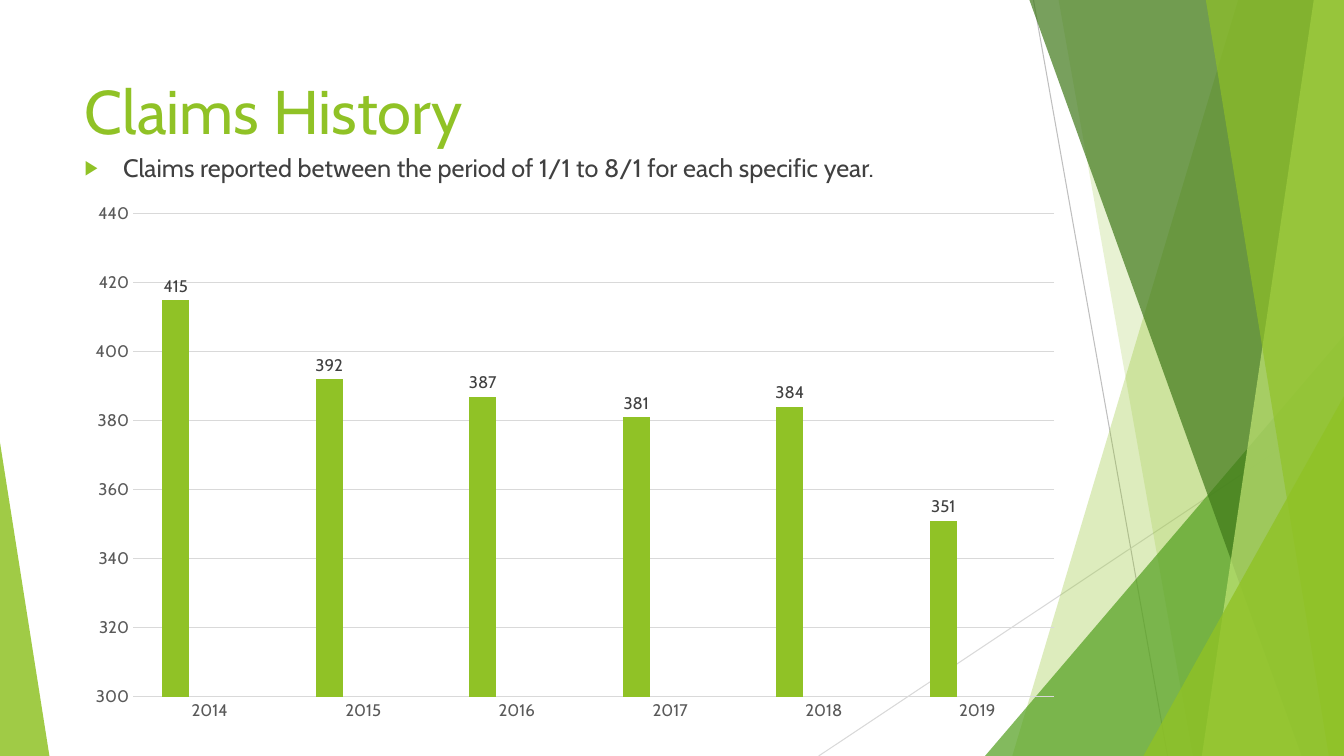
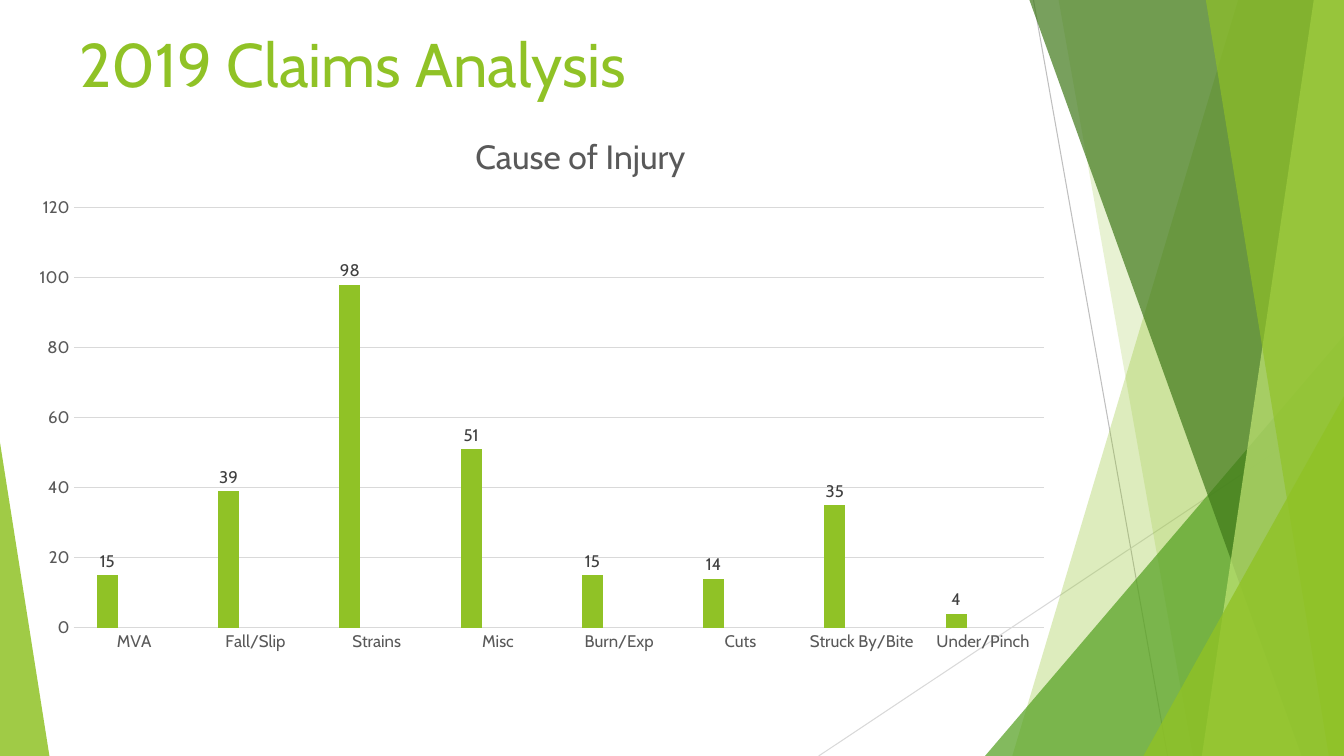
import lxml.etree
import pptx
import pptx.chart.data
import pptx.dml.color
import pptx.enum.chart
import pptx.enum.shapes
import pptx.enum.text
import pptx.oxml.ns
import pptx.util

Inches = pptx.util.Inches
Pt = pptx.util.Pt
qn = pptx.oxml.ns.qn

WIDTH, HEIGHT = 13.33, 7.5
FONT = "Cabin"
GREEN, MID_GREEN, DARK_GREEN, PALE_GREEN = "90C226", "54A021", "3F7819", "C0E474"
YELLOW, TEXT, GREY, RULE = "E6B91E", "404040", "595959", "D9D9D9"

LINES = [
    ((10.25, 0), (11.58, HEIGHT), "BFBFBF"),
    ((WIDTH, 4.03), (8.12, HEIGHT), RULE),
]
FACETS = [
    ("band", (12.28, 10.04), GREEN, 30),
    ("band", (10.5, 11.83), GREEN, 20),
    ("triangle", (9.77, 3.33, 3.56, 1), MID_GREEN, 72),
    ("band", (10.21, 12.91), DARK_GREEN, 70),
    ("band", (13.03, 11.92), PALE_GREEN, 70),
    ("band", (11.96, 13.18), GREEN, 65),
    ("triangle", (11.34, 3.93, 1.99, 1), GREEN, 80),
    ("triangle", (0, 4.39, 0.49, 0), GREEN, 85),
]


def rgb(value):
    return pptx.dml.color.RGBColor.from_string(value)


def apply(obj, values):
    for name, value in values.items():
        setattr(obj, name, value)


def sub(parent, tag, **attrs):
    return lxml.etree.SubElement(parent, qn(tag), attrs)


def set_layout(parent, index, **fractions):
    for old in parent.findall(qn("c:layout")):
        parent.remove(old)
    layout = lxml.etree.Element(qn("c:layout"))
    manual = sub(layout, "c:manualLayout")
    if "w" in fractions:
        sub(manual, "c:layoutTarget", val="inner")
    for axis in "xy":
        sub(manual, f"c:{axis}Mode", val="edge")
    for name, value in fractions.items():
        sub(manual, f"c:{name}", val=str(value))
    parent.insert(index, layout)


class Deck:
    def __init__(self):
        self.prs = pptx.Presentation()
        self.prs.slide_width, self.prs.slide_height = Inches(WIDTH), Inches(HEIGHT)
        self.s = None

    def style(self, font, size, color):
        apply(font, {"name": FONT, "size": Pt(size), "bold": False})
        font.color.rgb = rgb(color)

    def slide(self, layout, title, box):
        self.s = self.prs.slides.add_slide(self.prs.slide_layouts[layout])
        for start, end, color in LINES:
            self.line(start, end, color)
        for kind, place, color, alpha in FACETS:
            sp = getattr(self, kind)(*place)
            self.paint(sp, color, alpha)
        self.fill_text(self.s.shapes.title, box, title, 44, GREEN)

    def line(self, start, end, color):
        sp = self.s.shapes.add_connector(
            pptx.enum.shapes.MSO_CONNECTOR.STRAIGHT, *map(Inches, start + end))
        sp.line.color.rgb = rgb(color)
        sp.line.width = Pt(0.75)
        sub(sp._element.spPr, "a:effectLst")

    def band(self, top, bottom):
        points = [(WIDTH, 0), (WIDTH, HEIGHT), (bottom, HEIGHT)]
        builder = self.s.shapes.build_freeform(Inches(top), 0)
        builder.add_line_segments([(Inches(x), Inches(y)) for x, y in points], close=True)
        return builder.convert_to_shape()

    def triangle(self, left, top, width, apex):
        sp = self.s.shapes.add_shape(
            pptx.enum.shapes.MSO_SHAPE.ISOSCELES_TRIANGLE,
            *map(Inches, (left, top, width, HEIGHT - top)))
        sp.adjustments[0] = apex
        return sp

    def paint(self, sp, color, alpha):
        sp.shadow.inherit = False
        sp.fill.solid()
        sp.fill.fore_color.rgb = rgb(color)
        sp.line.fill.background()
        for clr in sp._element.spPr.xpath("./a:solidFill/a:srgbClr"):
            sub(clr, "a:alpha", val=str(alpha * 1000))

    def fill_text(self, sp, box, text, size, color):
        apply(sp, dict(zip(("left", "top", "width", "height"), map(Inches, box))))
        tf = sp.text_frame
        apply(tf, {"word_wrap": True,
                   "auto_size": pptx.enum.text.MSO_AUTO_SIZE.NONE,
                   "vertical_anchor": pptx.enum.text.MSO_ANCHOR.TOP})
        p = tf.paragraphs[0]
        p.alignment = pptx.enum.text.PP_ALIGN.LEFT
        r = p.add_run()
        r.text = text
        self.style(r.font, size, color)
        return p

    def bullet(self, box, text):
        p = self.fill_text(self.s.placeholders[1], box, text, 18, TEXT)
        p.space_before = Pt(10)
        props = p._p.get_or_add_pPr()
        props.set("marL", str(Inches(0.38)))
        props.set("indent", str(-Inches(0.38)))
        sub(sub(props, "a:buClr"), "a:srgbClr", val=GREEN)
        sub(props, "a:buSzPct", val="80000")
        sub(props, "a:buChar", char="▶")

    def chart(self, box, data, scale, plot, title=None):
        cd = pptx.chart.data.CategoryChartData()
        cd.categories = list(data)
        cd.add_series("Series 1", list(data.values()))
        for name in ("Series 2", "Series 3"):
            cd.add_series(name, [None] * len(data))
        chart = self.s.shapes.add_chart(
            pptx.enum.chart.XL_CHART_TYPE.COLUMN_CLUSTERED, *map(Inches, box), cd).chart
        apply(chart, {"has_legend": False, "has_title": title is not None})
        self.style(chart.font, 10, "000000")
        if title:
            tf = chart.chart_title.text_frame
            tf.text = title
            self.style(tf.paragraphs[0].runs[0].font, 24, GREY)
            set_layout(chart.chart_title._element, 1, x=0.43, y=0.03)

        bars = chart.plots[0]
        apply(bars, {"gap_width": 219, "overlap": -27, "vary_by_categories": False})
        for series, color in zip(bars.series, (GREEN, MID_GREEN, YELLOW)):
            series.format.fill.solid()
            series.format.fill.fore_color.rgb = rgb(color)
        labels = bars.series[0].data_labels
        apply(labels, {"show_value": True,
                       "position": pptx.enum.chart.XL_LABEL_POSITION.OUTSIDE_END})
        self.style(labels.font, 12, TEXT)

        values, cats = chart.value_axis, chart.category_axis
        low, high = scale
        apply(values, {"minimum_scale": low, "maximum_scale": high, "major_unit": 20,
                       "has_major_gridlines": True})
        for axis in (values, cats):
            axis.major_tick_mark = pptx.enum.chart.XL_TICK_MARK.NONE
            self.style(axis.tick_labels.font, 12, GREY)
        values.format.line.fill.background()
        for line in (cats.format.line, values.major_gridlines.format.line):
            line.color.rgb = rgb(RULE)
            line.width = Pt(0.75)
        set_layout(chart._chartSpace.chart.plotArea, 0, **dict(zip("xywh", plot)))


def main():
    deck = Deck()

    deck.slide(1, "Claims History", (0.74, 0.67, 9.4, 1.44))
    deck.bullet((0.74, 1.46, 9.4, 5.15),
                "Claims reported between the period of 1/1 to 8/1 for each specific year.")
    deck.chart((0.89, 1.94, 9.76, 5.36),
               {"2014": 415, "2015": 392, "2016": 387,
                "2017": 381, "2018": 384, "2019": 351},
               (300, 440), (0.044, 0.034, 0.936, 0.894))

    deck.slide(5, "2019 Claims Analysis", (0.69, 0.21, 9.4, 0.89))
    deck.chart((0.19, 1.09, 10.38, 5.49),
               {"MVA": 15, "Fall/Slip": 39, "Strains": 98, "Misc": 51, "Burn/Exp": 15,
                "Cuts": 14, "Struck By/Bite": 35, "Under/Pinch": 4},
               (0, 120), (0.052, 0.177, 0.927, 0.759), "Cause of Injury")

    deck.prs.save("out.pptx")


if __name__ == "__main__":
    main()
